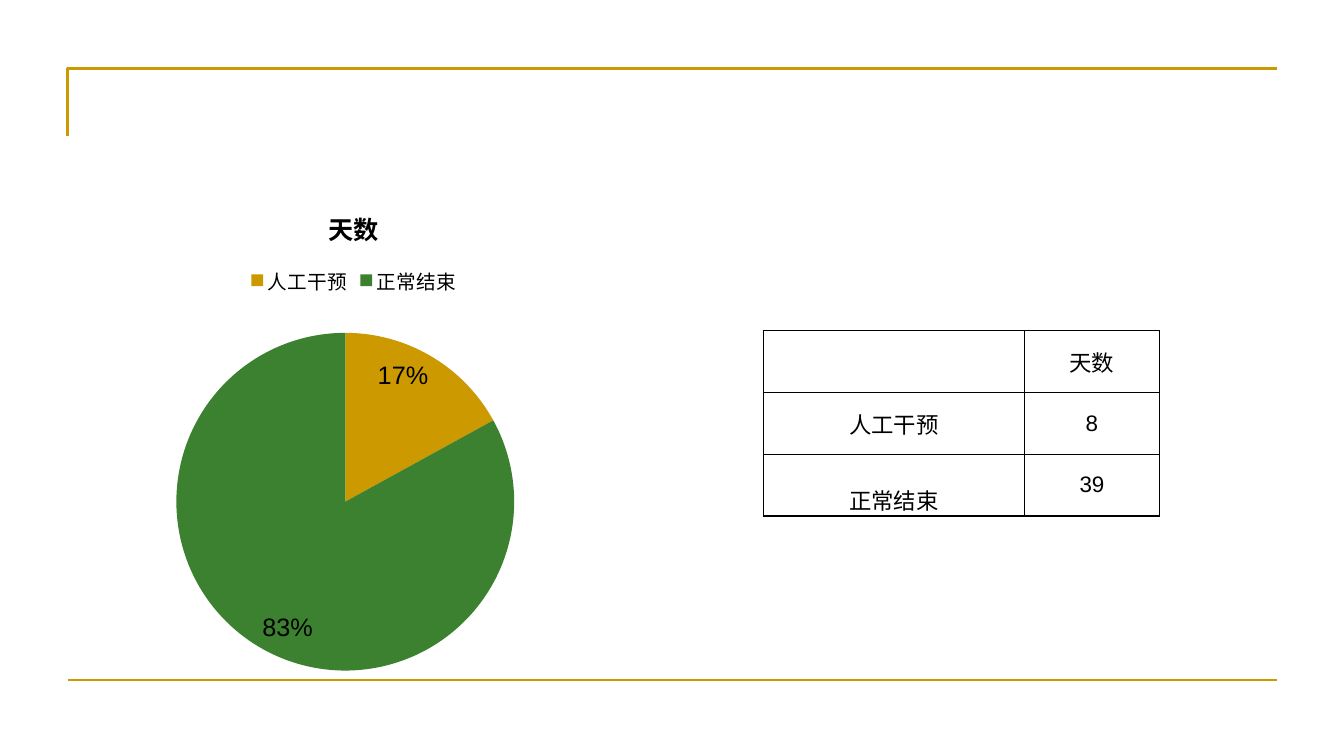
import lxml.etree
import pptx
import pptx.chart.data
import pptx.dml.color
import pptx.enum.chart
import pptx.enum.shapes
import pptx.enum.text
import pptx.oxml
import pptx.oxml.ns
import pptx.util

Inches = pptx.util.Inches
Pt = pptx.util.Pt
RGBColor = pptx.dml.color.RGBColor
qn = pptx.oxml.ns.qn

GOLD = RGBColor(0xCC, 0x99, 0x00)
GREEN = RGBColor(0x3B, 0x81, 0x2F)
BLACK = RGBColor(0, 0, 0)
FONT = "Arial"
MEASURE = "天数"
OUTCOMES = ["人工干预", "正常结束"]
DAYS = [8, 39]
SHARES = [17, 83]


def set_font(font, size, bold=False):
    """Give a font the slide's typeface and colour."""
    font.name = FONT
    font.size = Pt(size)
    font.bold = bold
    font.color.rgb = BLACK


def write_text(frame, text, size=16, bold=False, align=pptx.enum.text.PP_ALIGN.CENTER):
    """Write one formatted paragraph into a text frame."""
    para = frame.paragraphs[0]
    para.alignment = align
    span = para.add_run()
    span.text = text
    set_font(span.font, size, bold)


def style_rule(shape):
    """Draw a frame line in gold."""
    shape.line.color.rgb = GOLD
    shape.line.width = Pt(1.5)


def add_frame(page):
    """Add the corner bracket and the bottom rule."""
    left, right, top = Inches(0.67), Inches(12.67), Inches(0.68)
    builder = page.shapes.build_freeform(left, Inches(1.35))
    builder.add_line_segments([(left, top), (right, top)], close=False)
    bracket = builder.convert_to_shape()
    bracket.fill.background()
    bracket.shadow.inherit = False
    style_rule(bracket)
    rule = page.shapes.add_connector(
        pptx.enum.shapes.MSO_CONNECTOR.STRAIGHT, left, Inches(6.75), right, Inches(6.75))
    style_rule(rule)
    lxml.etree.SubElement(rule.element.spPr, qn("a:effectLst"))


def place_plot(chart, **fractions):
    """Fix the inner plot area as fractions of the chart."""
    plot_area = chart.element.find(".//" + qn("c:plotArea"))
    for old in plot_area.findall(qn("c:layout")):
        plot_area.remove(old)
    layout = lxml.etree.Element(qn("c:layout"))
    manual = lxml.etree.SubElement(layout, qn("c:manualLayout"))
    settings = {"layoutTarget": "inner", "xMode": "edge", "yMode": "edge", **fractions}
    for name, value in settings.items():
        lxml.etree.SubElement(manual, qn("c:" + name)).set("val", str(value))
    plot_area.insert(0, layout)


def add_days_pie(page):
    """Add the pie of day shares."""
    data = pptx.chart.data.CategoryChartData()
    data.categories = OUTCOMES
    data.add_series(MEASURE, SHARES)
    chart = page.shapes.add_chart(
        pptx.enum.chart.XL_CHART_TYPE.PIE,
        Inches(0.67), Inches(1.86), Inches(5.68), Inches(4.95), data).chart
    set_font(chart.font, 10)
    chart.has_title = True
    write_text(chart.chart_title.text_frame, MEASURE, size=18, bold=True)
    chart.chart_title.include_in_layout = False
    chart.has_legend = True
    chart.legend.position = pptx.enum.chart.XL_LEGEND_POSITION.TOP
    chart.legend.include_in_layout = False
    set_font(chart.legend.font, 14)
    pie = chart.plots[0]
    pie.vary_by_categories = True
    series = pie.series[0]
    for index, color in enumerate([GOLD, GREEN]):
        fill = series.points[index].format.fill
        fill.solid()
        fill.fore_color.rgb = color
    labels = series.data_labels
    labels.show_percentage = True
    labels.show_value = False
    labels.number_format = "0%"
    labels.number_format_is_linked = False
    labels.position = pptx.enum.chart.XL_LABEL_POSITION.INSIDE_END
    set_font(labels.font, 18)
    place_plot(chart, x=0.19, y=0.29, w=0.59, h=0.68)


def set_borders(cell):
    """Give a cell thin black borders and no fill."""
    properties = cell._tc.get_or_add_tcPr()
    for side in ("lnL", "lnR", "lnT", "lnB"):
        line = lxml.etree.SubElement(properties, qn("a:" + side), w=str(Pt(1)))
        solid = lxml.etree.SubElement(line, qn("a:solidFill"))
        lxml.etree.SubElement(solid, qn("a:srgbClr"), val=str(BLACK))
    cell.fill.background()


def add_days_table(page):
    """Add the table of day counts."""
    rows = [("", MEASURE), *zip(OUTCOMES, map(str, DAYS))]
    table = page.shapes.add_table(
        len(rows), 2, Inches(7.57), Inches(3.28), Inches(3.93), Inches(1.84)).table
    table.first_row = False
    table.horz_banding = False
    for column, width in zip(table.columns, (2.59, 1.34)):
        column.width = Inches(width)
    for row_index, texts in enumerate(rows):
        for column_index, text in enumerate(texts):
            cell = table.cell(row_index, column_index)
            cell.margin_left = cell.margin_right = 0
            cell.margin_top = cell.margin_bottom = 0
            cell.vertical_anchor = pptx.enum.text.MSO_ANCHOR.MIDDLE
            set_borders(cell)
            if text:
                write_text(cell.text_frame, text)
    table.cell(2, 0).vertical_anchor = pptx.enum.text.MSO_ANCHOR.BOTTOM


def main():
    """Build the slide and save it."""
    deck = pptx.Presentation()
    deck.slide_width = Inches(13.33)
    deck.slide_height = Inches(7.5)
    page = deck.slides.add_slide(deck.slide_layouts[6])
    add_frame(page)
    add_days_pie(page)
    add_days_table(page)
    deck.save("out.pptx")


if __name__ == "__main__":
    main()
